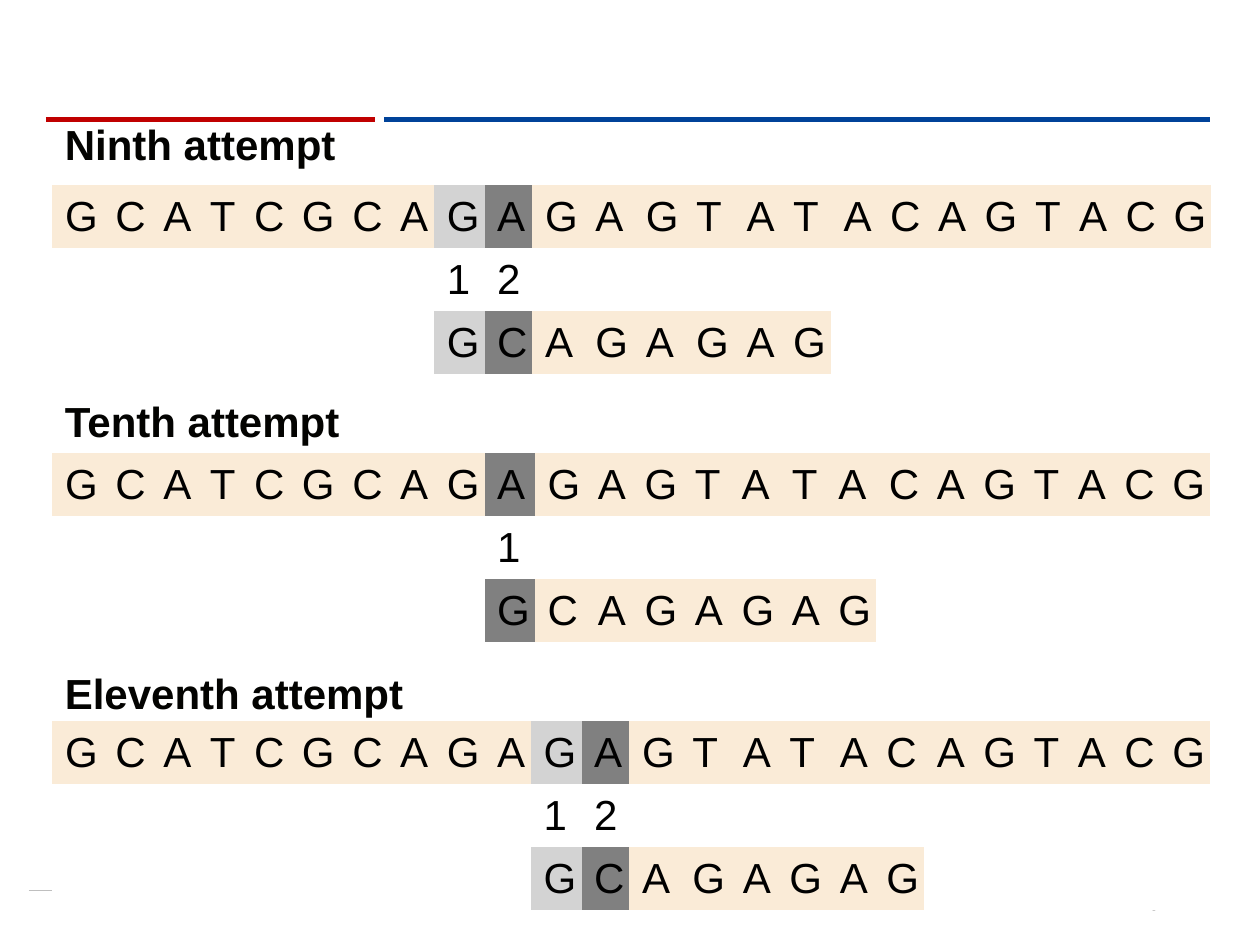
from lxml.etree import SubElement
from pptx import Presentation
from pptx.dml.color import RGBColor as RGB
from pptx.enum.shapes import MSO_CONNECTOR as LINK
from pptx.enum.text import MSO_ANCHOR as ANCHOR, PP_ALIGN as ALIGN
from pptx.oxml.ns import qn
from pptx.util import Pt

BLACK = RGB(0, 0, 0)
INK = RGB(3, 3, 1)
WHITE = RGB(255, 255, 255)
CREAM = RGB(0xFA, 0xEB, 0xD7)
LIGHT = RGB(0xD3, 0xD3, 0xD3)
DARK = RGB(0x80, 0x80, 0x80)
RED = RGB(0xC0, 0, 0)
BLUE = RGB(0, 0x42, 0x99)
PALE = RGB(0xBF, 0xBF, 0xBF)

PLAIN = "{2D5ABB26-0587-4C30-8999-92F81FD0307C}"  # no style, no grid
TEXT = "GCATCGCAGAGAGTATACAGTACG"
WORD = "GCAGAGAG"
WIDE = {"G": 28.8, "C": 27.36, "A": 26.64, "T": 25.2}
LEFT = 30
ROW = 36


def write(frame, text, size, color=BLACK, bold=False, align=ALIGN.LEFT):
    para = frame.paragraphs[0]
    para.alignment = align
    run = para.add_run()
    run.text = text
    font = run.font
    font.name, font.size, font.bold = "Arial", Pt(size), bold
    font.color.rgb = color


def label(box, text, size, **look):
    """Add a text box, centred vertically; box is left, top, width, height."""
    frame = slide.shapes.add_textbox(*map(Pt, box)).text_frame
    frame.word_wrap = True
    frame.vertical_anchor = ANCHOR.MIDDLE
    write(frame, text, size, **look)


deck = Presentation()
deck.slide_width, deck.slide_height = Pt(720), Pt(540)
slide = deck.slides.add_slide(deck.slide_layouts[6])

# Rules: start, end, height on the page, colour, weight
for start, end, y, color, weight in [
    (16.5, 584, 509, PALE, 0.5),
    (219.5, 691.5, 68.3, BLUE, 3),
    (26.2, 214.3, 68.3, RED, 3),
]:
    rule = slide.shapes.add_connector(LINK.STRAIGHT, Pt(start), Pt(y), Pt(end), Pt(y))
    rule.line.color.rgb = color
    rule.line.width = Pt(weight)
    SubElement(rule._element.spPr, qn("a:effectLst"))

label((508.3, 500.4, 162, 28.8), "16", 14, align=ALIGN.RIGHT)

# Title, its top and width, table top, shift of the word, shades of the
# compared letters, and columns that differ from the width of their letter
tries = [
    ("Ninth attempt", 64.4, 174, 105.8, 8, [LIGHT, DARK],
     {9: 27.36, 11: 28.8, 13: 28.8, 15: 28.8}),
    ("Tenth attempt", 222.6, 178, 258.8, 9, [DARK],
     {9: 28.8, 13: 26.64, 14: 28.8, 15: 26.64, 16: 28.8}),
    ("Eleventh attempt", 378, 213, 412, 10, [LIGHT, DARK],
     {11: 27.36, 13: 28.8, 15: 28.8, 17: 28.8}),
]

for title, head, width, top, shift, shades, odd in tries:
    label((LEFT, head, width, 36), title, 24, color=INK, bold=True)

    sizes = [odd.get(i, WIDE[base]) for i, base in enumerate(TEXT)]
    table = slide.shapes.add_table(
        3, len(TEXT), Pt(LEFT), Pt(top), Pt(sum(sizes)), Pt(3 * ROW)).table
    table.first_row = table.horz_banding = False
    table._tbl.tblPr.find(qn("a:tableStyleId")).text = PLAIN
    for col, size in zip(table.columns, sizes):
        col.width = Pt(size)
    for row in table.rows:
        row.height = Pt(ROW)

    count = len(shades)
    marks = "".join(str(n + 1) for n in range(count))
    tints = {shift + n: shade for n, shade in enumerate(shades)}
    for r, (start, letters) in enumerate([(0, TEXT), (shift, marks), (shift, WORD)]):
        stop = start + len(letters)
        for c, letter in enumerate(letters, start):
            cell = table.cell(r, c)
            cell.vertical_anchor = ANCHOR.MIDDLE
            cell.fill.solid()
            cell.fill.fore_color.rgb = WHITE if r == 1 else tints.get(c, CREAM)
            write(cell.text_frame, letter, 24)
        for first, last in [(0, start), (stop, len(TEXT))]:
            if first < last:
                cell = table.cell(r, first)
                cell.merge(table.cell(r, last - 1))
                if r == 1 and first:
                    cell.fill.background()
                else:
                    cell.fill.solid()
                    cell.fill.fore_color.rgb = WHITE

deck.save("out.pptx")
